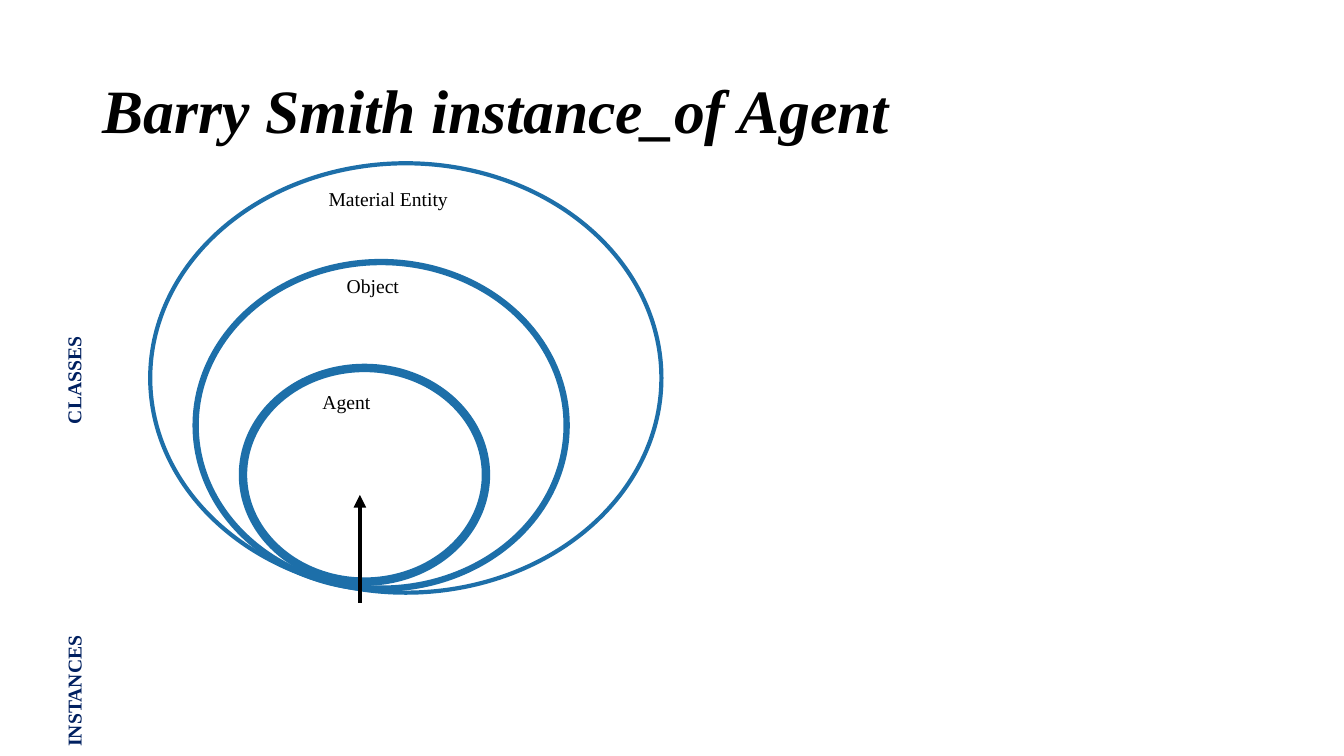
from lxml import etree
from pptx import Presentation, util as u
from pptx.dml.color import RGBColor
from pptx.enum import shapes, text
from pptx.oxml.ns import qn

TITLE = "Barry Smith instance_of Agent"
LEVELS = [
    ("CLASSES", (-0.5, 2.84, 2.53)),
    ("INSTANCES", (-0.54, 6, 2.61)),
]
CLASSES = [
    ("Material Entity", (1.49, 1.62, 5.07, 4.26), 3, (3.16, 1.81, 1.72)),
    ("Object", (1.94, 2.6, 3.68, 3.24), 4.5, (3.34, 2.67, 0.87)),
    ("Agent", (2.41, 3.65, 2.41, 2.12), 6, (3.1, 3.82, 0.8)),
]
INSTANCE_X, INSTANCE_Y, AGENT_Y = 3.57, 5.98, 4.91
LABEL_HEIGHT = 0.4
FONT = "Times New Roman"
COLOURS = {"ring": "1D6FA9", "level": "002060", "ink": "000000"}


def colour(name):
    return RGBColor.from_string(COLOURS[name])


def inches(*lengths):
    return [u.Inches(length) for length in lengths]


def style(paragraph, size, ink, bold=False, italic=False):
    paragraph.alignment = text.PP_ALIGN.LEFT
    font = paragraph.font
    font.name, font.size = FONT, u.Pt(size)
    font.bold, font.italic = bold, italic
    font.color.rgb = colour(ink)


def add_label(slide, words, place, ink="ink", bold=False, wrap=False):
    label = slide.shapes.add_textbox(*inches(*place, LABEL_HEIGHT))
    frame = label.text_frame
    frame.text = words
    frame.word_wrap = wrap
    frame.auto_size = text.MSO_AUTO_SIZE.SHAPE_TO_FIT_TEXT
    style(frame.paragraphs[0], 14, ink, bold)
    return label


def add_ring(slide, place, weight):
    ring = slide.shapes.add_shape(shapes.MSO_SHAPE.OVAL, *inches(*place))
    ring.shadow.inherit = False
    ring.fill.background()
    ring.line.color.rgb = colour("ring")
    ring.line.width = u.Pt(weight)


def add_instance_arrow(slide):
    arrow = slide.shapes.add_connector(
        shapes.MSO_CONNECTOR.STRAIGHT,
        *inches(INSTANCE_X, INSTANCE_Y, INSTANCE_X, AGENT_Y))
    arrow.line.color.rgb = colour("ink")
    arrow.line.width = u.Pt(3)
    etree.SubElement(arrow.line._get_or_add_ln(), qn("a:tailEnd"), type="triangle")
    etree.SubElement(arrow._element.spPr, qn("a:effectLst"))


def main():
    deck = Presentation()
    deck.slide_width, deck.slide_height = inches(13.33, 7.5)
    slide = deck.slides.add_slide(deck.slide_layouts[5])

    title = slide.shapes.title
    title.left, title.top, title.width, title.height = inches(0.92, 0.4, 11.5, 1.45)
    title.text_frame.text = TITLE
    title.text_frame.vertical_anchor = text.MSO_ANCHOR.MIDDLE
    heading = title.text_frame.paragraphs[0]
    heading.line_spacing = 0.9
    style(heading, 44, "ink", bold=True, italic=True)

    for words, place in LEVELS:
        level = add_label(slide, words, place, "level", bold=True, wrap=True)
        level.rotation = 270

    for words, ring_place, weight, label_place in CLASSES:
        add_ring(slide, ring_place, weight)
        add_label(slide, words, label_place)

    add_instance_arrow(slide)
    deck.save("out.pptx")


if __name__ == "__main__":
    main()
